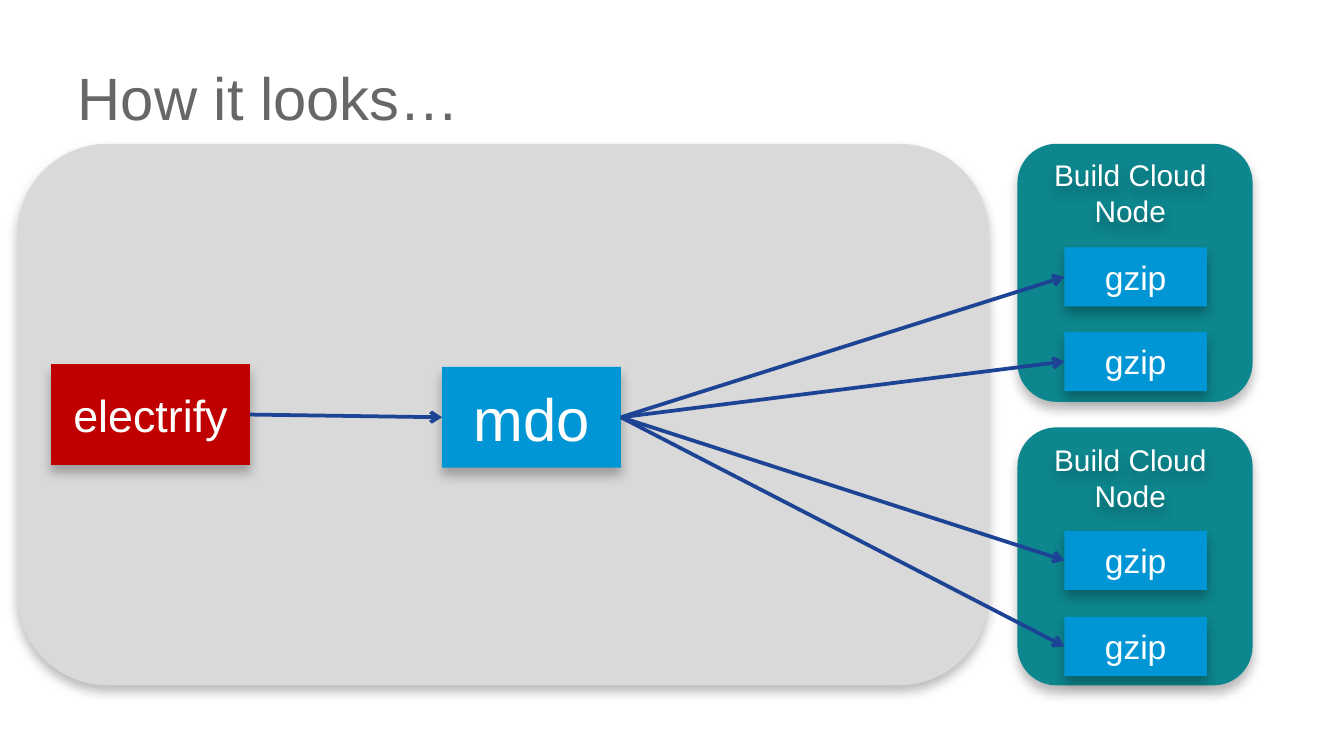
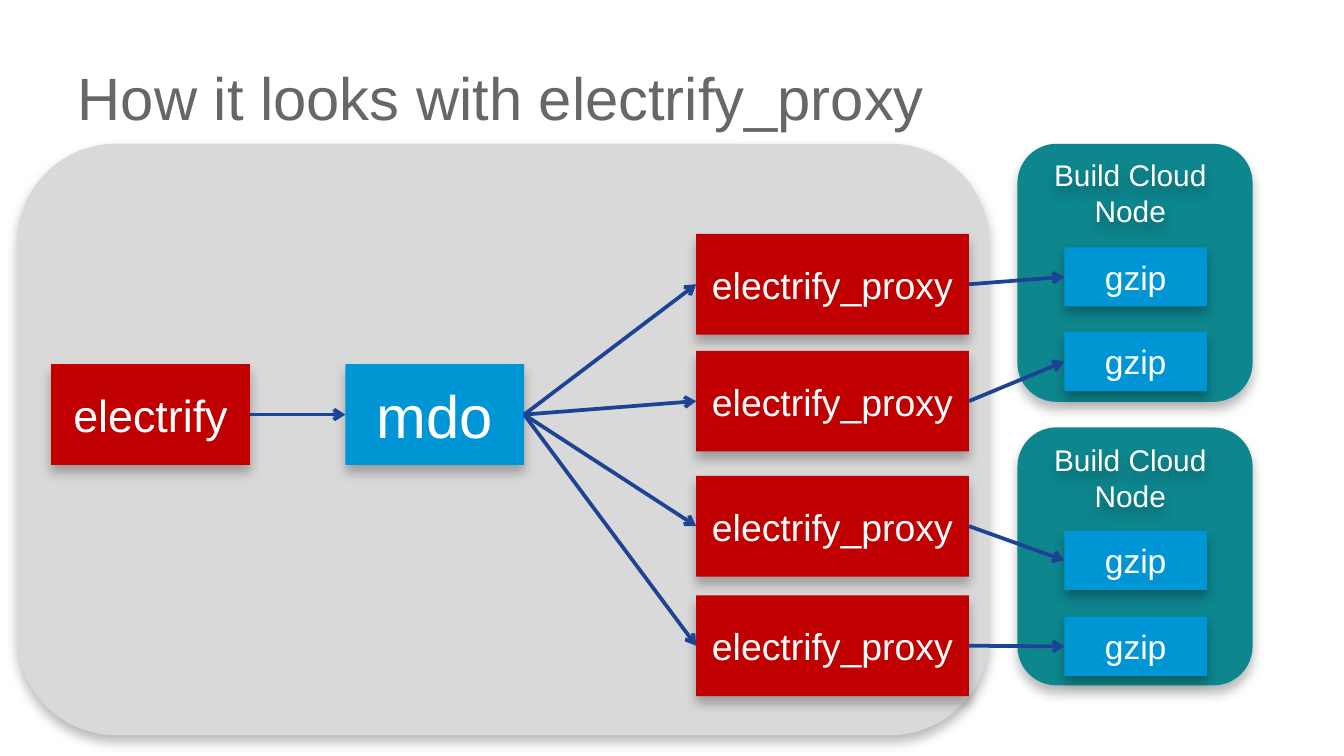
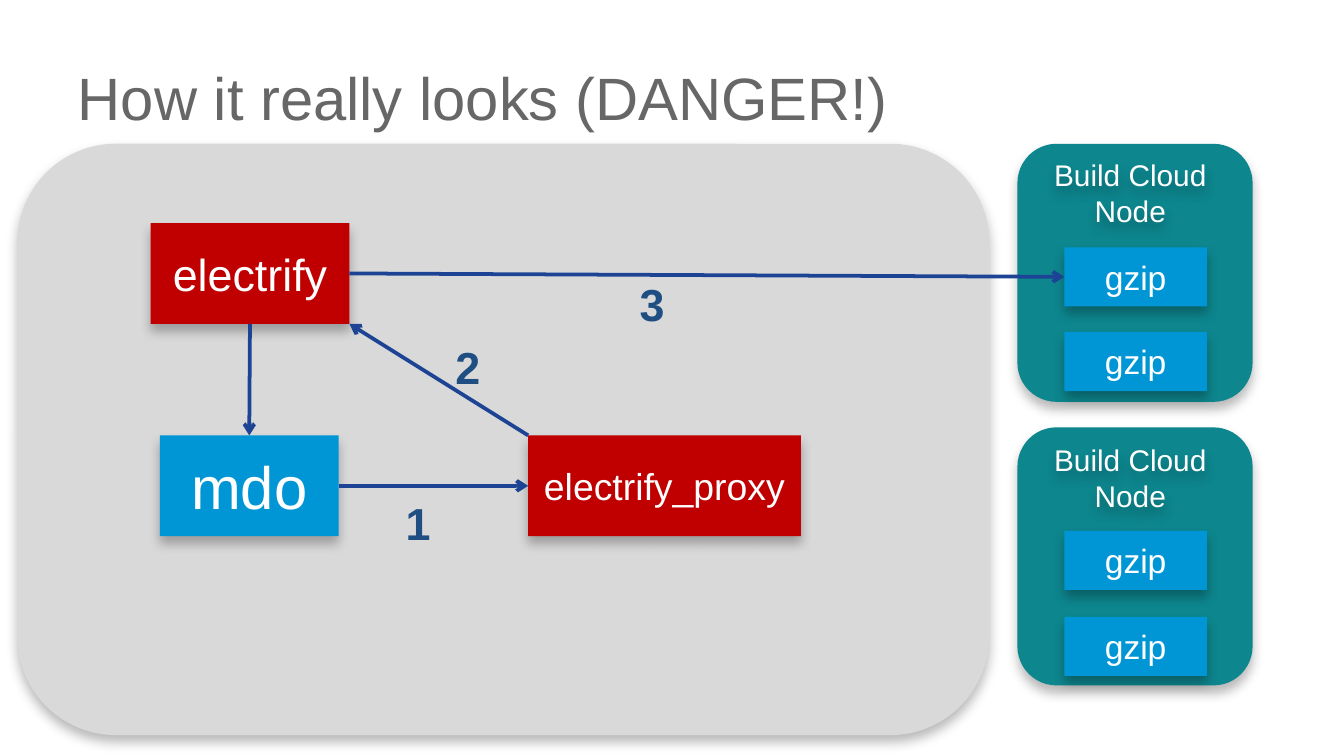
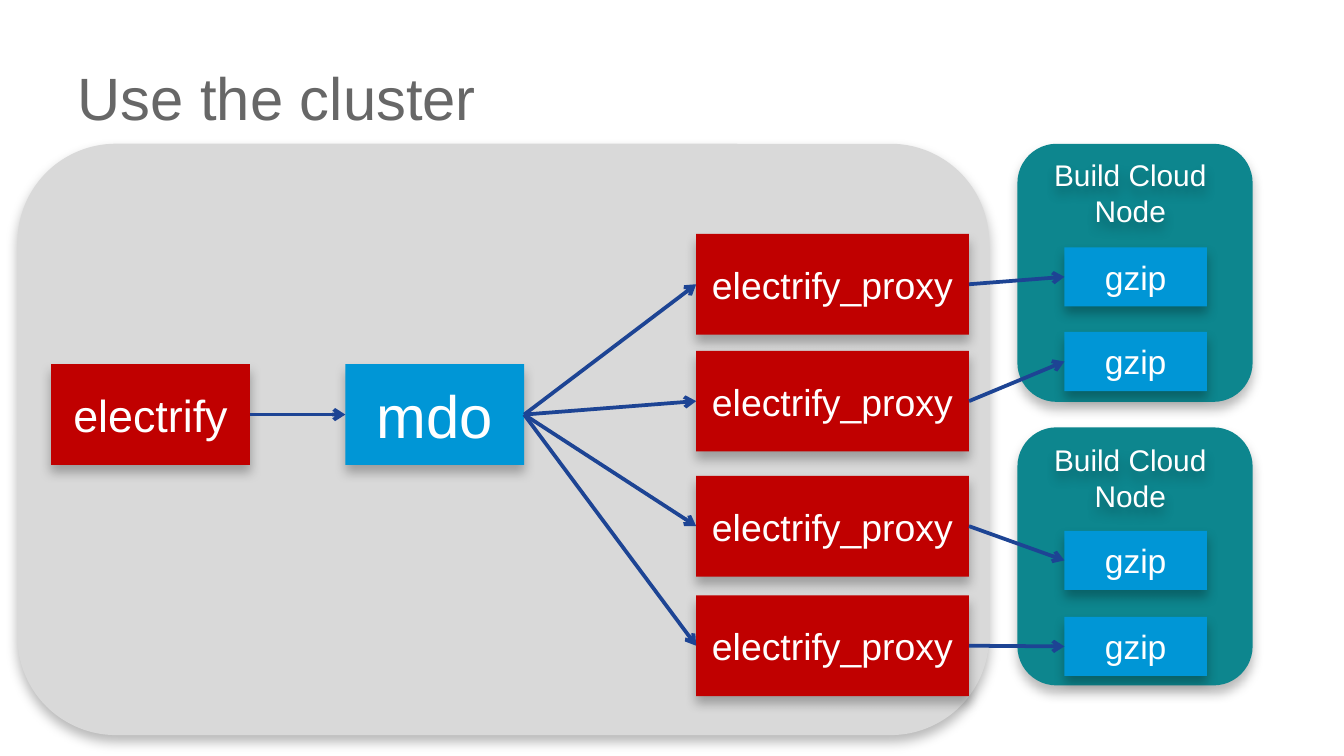
from lxml import etree
from pptx import Presentation
from pptx.dml.color import RGBColor
from pptx.enum import shapes, text
from pptx.oxml.ns import qn
from pptx.util import Inches, Pt

FONT = "Arial"
GREY, PANEL, TEAL, BLUE, RED = "676767", "D9D9D9", "0D868E", "0096D6", "C00000"
WHITE, NAVY, STEEL = "FFFFFF", "1D4494", "1F4E83"

KINDS = {
    "electrify": dict(width=1.48, height=0.75, fill=RED, size=24),
    "mdo": dict(width=1.33, height=0.75, fill=BLUE, size=32),
    "electrify_proxy": dict(width=2.03, height=0.75, fill=RED, size=20),
    "gzip": dict(width=1.06, height=0.44, fill=BLUE, size=18),
}
CLOUD = "Build Cloud Node"
CLOUDS = [
    dict(top=1.07, label=1.17, gzips=(1.84, 2.47)),
    dict(top=3.18, label=3.29, gzips=(3.95, 4.59)),
]
SITES = {
    "top": (0.5, 0, 0), "left": (0, 0.5, 1),
    "bottom": (0.5, 1, 2), "right": (1, 0.5, 3),
    "top left": (0, 0, None), "bottom right": (1, 1, None),
}

GZIPS = ["gzip 1", "gzip 2", "gzip 3", "gzip 4"]
PROXIES = ["electrify_proxy 1", "electrify_proxy 2",
           "electrify_proxy 3", "electrify_proxy 4"]


def across(start, end):
    return start, "right", end, "left"


PROXY_FLOW = dict(
    panel=4.4,
    boxes={"electrify": (0.38, 2.71), "mdo": (2.57, 2.71),
           **{name: (5.18, top)
              for name, top in zip(PROXIES, (1.74, 2.61, 3.54, 4.43))}},
    links=[across("electrify", "mdo"),
           *[across("mdo", name) for name in PROXIES],
           *[across(*pair) for pair in zip(PROXIES, GZIPS)]],
    steps={},
)
SLIDES = [
    dict(
        title="How it looks…",
        panel=4.03,
        boxes={"electrify": (0.38, 2.71), "mdo": (3.29, 2.73)},
        links=[across("electrify", "mdo"),
               *[across("mdo", name) for name in GZIPS]],
        steps={},
    ),
    dict(title="How it looks with electrify_proxy", **PROXY_FLOW),
    dict(
        title="How it really looks (DANGER!)",
        panel=4.4,
        boxes={"electrify": (1.12, 1.66), "mdo": (1.19, 3.24),
               "electrify_proxy": (3.93, 3.24)},
        links=[("electrify", "bottom", "mdo", "top"),
               across("mdo", "electrify_proxy"),
               ("electrify_proxy", "top left", "electrify", "bottom right"),
               across("electrify", "gzip 1")],
        steps={"1": (2.92, 3.64), "2": (3.29, 2.48), "3": (4.66, 2.01)},
    ),
    dict(title="Use the cluster", **PROXY_FLOW),
]


def color(code):
    return RGBColor.from_string(code)


def shade(shape):
    effects = etree.SubElement(shape._element.spPr, qn("a:effectLst"))
    outer = etree.SubElement(effects, qn("a:outerShdw"), blurRad=str(Pt(6)),
                             dist=str(Pt(4)), dir="5400000", rotWithShape="0")
    black = etree.SubElement(outer, qn("a:srgbClr"), val="000000")
    etree.SubElement(black, qn("a:alpha"), val="27000")


def write(shape, words, size=16, ink=WHITE, bold=False, align="CENTER",
          anchor="MIDDLE", inset=(0.08, 0.04), wrap=True, spacing=None):
    frame = shape.text_frame
    frame.word_wrap = wrap
    frame.vertical_anchor = text.MSO_ANCHOR[anchor]
    frame.margin_left = frame.margin_right = Inches(inset[0])
    frame.margin_top = frame.margin_bottom = Inches(inset[1])
    para = frame.paragraphs[0]
    para.alignment = text.PP_ALIGN[align]
    if spacing:
        para.line_spacing = spacing
    run = para.add_run()
    run.text = words
    run.font.name, run.font.size, run.font.bold = FONT, Pt(size), bold
    run.font.color.rgb = color(ink)


def label(slide, words, left, top, width, height, **style):
    box = slide.shapes.add_textbox(*map(Inches, (left, top, width, height)))
    write(box, words, **style)
    return box


def block(slide, left, top, width, height, fill, form="RECTANGLE"):
    shape = slide.shapes.add_shape(
        shapes.MSO_SHAPE[form], *map(Inches, (left, top, width, height)))
    shape.fill.solid()
    shape.fill.fore_color.rgb = color(fill)
    shape.line.fill.background()
    shade(shape)
    return shape


def node(slide, name, left, top):
    word = name.split()[0]
    kind = KINDS[word]
    shape = block(slide, left, top, kind["width"], kind["height"], kind["fill"])
    write(shape, word, size=kind["size"])
    return shape


def spot(shape, site):
    across_part, down_part, _ = SITES[site]
    return (int(shape.left + shape.width * across_part),
            int(shape.top + shape.height * down_part))


def arrow(slide, start, start_site, end, end_site):
    link = slide.shapes.add_connector(
        shapes.MSO_CONNECTOR.STRAIGHT,
        *spot(start, start_site), *spot(end, end_site))
    for join, shape, site in ((link.begin_connect, start, start_site),
                              (link.end_connect, end, end_site)):
        index = SITES[site][2]
        if index is not None:
            join(shape, index)
    link.line.color.rgb = color(NAVY)
    link.line.width = Pt(2)
    etree.SubElement(link.line._get_or_add_ln(), qn("a:tailEnd"), type="arrow")
    etree.SubElement(link._element.spPr, qn("a:effectLst"))


def clouds(slide):
    nodes = []
    for cloud in CLOUDS:
        block(slide, 7.57, cloud["top"], 1.75, 1.92, TEAL, "ROUNDED_RECTANGLE")
        shade(label(slide, CLOUD, 7.57, cloud["label"], 1.68, 0.53))
        nodes += [node(slide, "gzip", 7.92, top) for top in cloud["gzips"]]
    return dict(zip(GZIPS, nodes))


def draw(deck, page):
    slide = deck.slides.add_slide(deck.slide_layouts[6])
    label(slide, page["title"], 0.48, 0.37, 9.13, 0.8, size=32, ink=GREY,
          align="LEFT", inset=(0.1, 0.05), spacing=0.8)
    block(slide, 0.13, 1.07, 7.23, page["panel"], PANEL, "ROUNDED_RECTANGLE")
    nodes = clouds(slide)
    for name, place in page["boxes"].items():
        nodes[name] = node(slide, name, *place)
    for start, start_site, end, end_site in page["links"]:
        arrow(slide, nodes[start], start_site, nodes[end], end_site)
    for step, place in page["steps"].items():
        label(slide, step, *place, 0.31, 0.5, size=24, ink=STEEL, bold=True,
              align="LEFT", anchor="TOP", inset=(0.1, 0.05), wrap=False)


def main():
    deck = Presentation()
    deck.slide_width = Inches(10)
    deck.slide_height = deck.slide_width * 9 // 16
    for page in SLIDES:
        draw(deck, page)
    deck.save("out.pptx")


if __name__ == "__main__":
    main()
